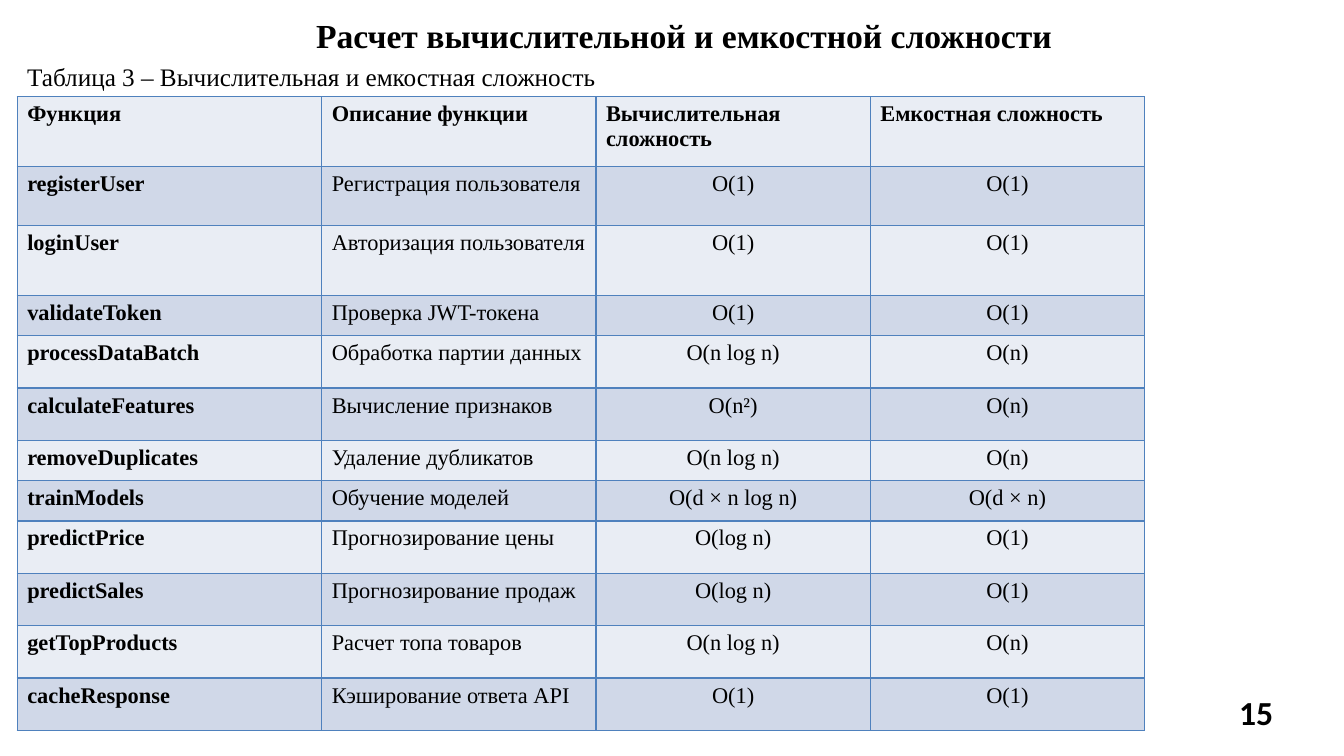
from dataclasses import dataclass
from typing import NamedTuple

import lxml.etree
import pptx
import pptx.dml.color
import pptx.enum.text
import pptx.oxml.ns
import pptx.util

Align = pptx.enum.text.PP_ALIGN


@dataclass(frozen=True)
class Theme:
    serif: str = "Times New Roman"
    sans: str = "Calibri"
    ink: str = "000000"
    border: str = "4F81BD"
    bands: tuple[str, str] = ("E9EDF4", "D0D8E8")
    heading_size: int = 24
    caption_size: int = 18
    cell_size: int = 16
    border_width: int = 1


THEME = Theme()
SLIDE_WIDTH = pptx.util.Inches(13.33)
SLIDE_HEIGHT = pptx.util.Inches(7.5)


class Area(NamedTuple):
    left: float
    top: float
    width: float
    height: float


@dataclass(frozen=True)
class Label:
    text: str
    area: Area
    size: int
    font: str = THEME.serif
    bold: bool = True
    align: Align = Align.LEFT
    insets: tuple[float, float] = (0, 0)
    indent: float = 0
    space_before: float = 0
    line_spacing: float | None = None
    wrap: bool = True


class Entry(NamedTuple):
    function: str
    description: str
    time: str
    memory: str
    height: float


SHORT, MEDIUM, LOGIN, TALL = 5.33, 6.93, 7.87, 9.2
COLUMN_SHARES = (22.66, 20.41, 20.41, 20.41)
TABLE_LEFT, TABLE_TOP = 1.28, 12.8

LABELS = (
    Label("Расчет вычислительной и емкостной сложности", Area(16.65, 1.87, 66.69, 5.6),
          THEME.heading_size, align=Align.CENTER, insets=(0, 0.01), indent=0.24, space_before=1),
    Label("15", Area(91.9, 92.4, 5.7, 4.4), THEME.heading_size, font=THEME.sans,
          indent=0.04, line_spacing=23.8),
    Label("Таблица 3 – Вычислительная и емкостная сложность", Area(1.28, 7.47, 44.41, 5.33),
          THEME.caption_size, bold=False, insets=(0.1, 0.05), wrap=False),
)

ENTRIES = (
    Entry("Функция", "Описание функции", "Вычислительная сложность", "Емкостная сложность", TALL),
    Entry("registerUser", "Регистрация пользователя", "O(1)", "O(1)", LOGIN),
    Entry("loginUser", "Авторизация пользователя", "O(1)", "O(1)", TALL),
    Entry("validateToken", "Проверка JWT-токена", "O(1)", "O(1)", SHORT),
    Entry("processDataBatch", "Обработка партии данных", "O(n log n)", "O(n)", MEDIUM),
    Entry("calculateFeatures", "Вычисление признаков", "O(n²)", "O(n)", MEDIUM),
    Entry("removeDuplicates", "Удаление дубликатов", "O(n log n)", "O(n)", SHORT),
    Entry("trainModels", "Обучение моделей", "O(d × n log n)", "O(d × n)", SHORT),
    Entry("predictPrice", "Прогнозирование цены", "O(log n)", "O(1)", MEDIUM),
    Entry("predictSales", "Прогнозирование продаж", "O(log n)", "O(1)", MEDIUM),
    Entry("getTopProducts", "Расчет топа товаров", "O(n log n)", "O(n)", MEDIUM),
    Entry("cacheResponse", "Кэширование ответа API", "O(1)", "O(1)", MEDIUM),
)


def across(share: float) -> int:
    return round(SLIDE_WIDTH * share / 100)


def down(share: float) -> int:
    return round(SLIDE_HEIGHT * share / 100)


def style_paragraph(para, font: str, size: int, bold: bool, align: Align) -> None:
    para.alignment = align
    para.font.name = font
    para.font.size = pptx.util.Pt(size)
    para.font.bold = bold
    para.font.color.rgb = pptx.dml.color.RGBColor.from_string(THEME.ink)


def draw_label(page, label: Label) -> None:
    area = label.area
    box = page.shapes.add_textbox(across(area.left), down(area.top),
                                  across(area.width), down(area.height))
    frame = box.text_frame
    frame.word_wrap = label.wrap
    side, top = label.insets
    frame.margin_left = frame.margin_right = pptx.util.Inches(side)
    frame.margin_top = pptx.util.Inches(top)
    frame.margin_bottom = pptx.util.Inches(top if side else 0)
    para = frame.paragraphs[0]
    para.text = label.text
    style_paragraph(para, label.font, label.size, label.bold, label.align)
    para.space_before = pptx.util.Pt(label.space_before)
    if label.line_spacing:
        para.line_spacing = pptx.util.Pt(label.line_spacing)
    if label.indent:
        properties = para._p.get_or_add_pPr()
        properties.set("marL", str(pptx.util.Inches(label.indent)))
        properties.set("indent", "0")


def add_borders(cell) -> None:
    qn = pptx.oxml.ns.qn
    properties = cell._tc.get_or_add_tcPr()
    for position, side in enumerate(("a:lnL", "a:lnR", "a:lnT", "a:lnB")):
        line = lxml.etree.Element(qn(side), w=str(pptx.util.Pt(THEME.border_width)))
        paint = lxml.etree.SubElement(line, qn("a:solidFill"))
        lxml.etree.SubElement(paint, qn("a:srgbClr"), val=THEME.border)
        properties.insert(position, line)


def draw_table(page, entries: tuple[Entry, ...]) -> None:
    table = page.shapes.add_table(
        len(entries), len(COLUMN_SHARES), across(TABLE_LEFT), down(TABLE_TOP),
        across(sum(COLUMN_SHARES)), down(sum(entry.height for entry in entries))).table
    table.first_row = table.horz_banding = False
    for column, share in zip(table.columns, COLUMN_SHARES):
        column.width = across(share)
    for row_index, (row, entry) in enumerate(zip(table.rows, entries)):
        row.height = down(entry.height)
        is_header = row_index == 0
        for column_index, cell in enumerate(row.cells):
            cell.text = entry[column_index]
            centred = not is_header and column_index >= 2
            style_paragraph(cell.text_frame.paragraphs[0], THEME.serif, THEME.cell_size,
                            is_header or column_index == 0,
                            Align.CENTER if centred else Align.LEFT)
            cell.fill.solid()
            cell.fill.fore_color.rgb = pptx.dml.color.RGBColor.from_string(
                THEME.bands[row_index % 2])
            add_borders(cell)


def main() -> None:
    deck = pptx.Presentation()
    deck.slide_width = SLIDE_WIDTH
    deck.slide_height = SLIDE_HEIGHT
    page = deck.slides.add_slide(deck.slide_layouts[6])
    for label in LABELS:
        draw_label(page, label)
    draw_table(page, ENTRIES)
    deck.save("out.pptx")


if __name__ == "__main__":
    main()
